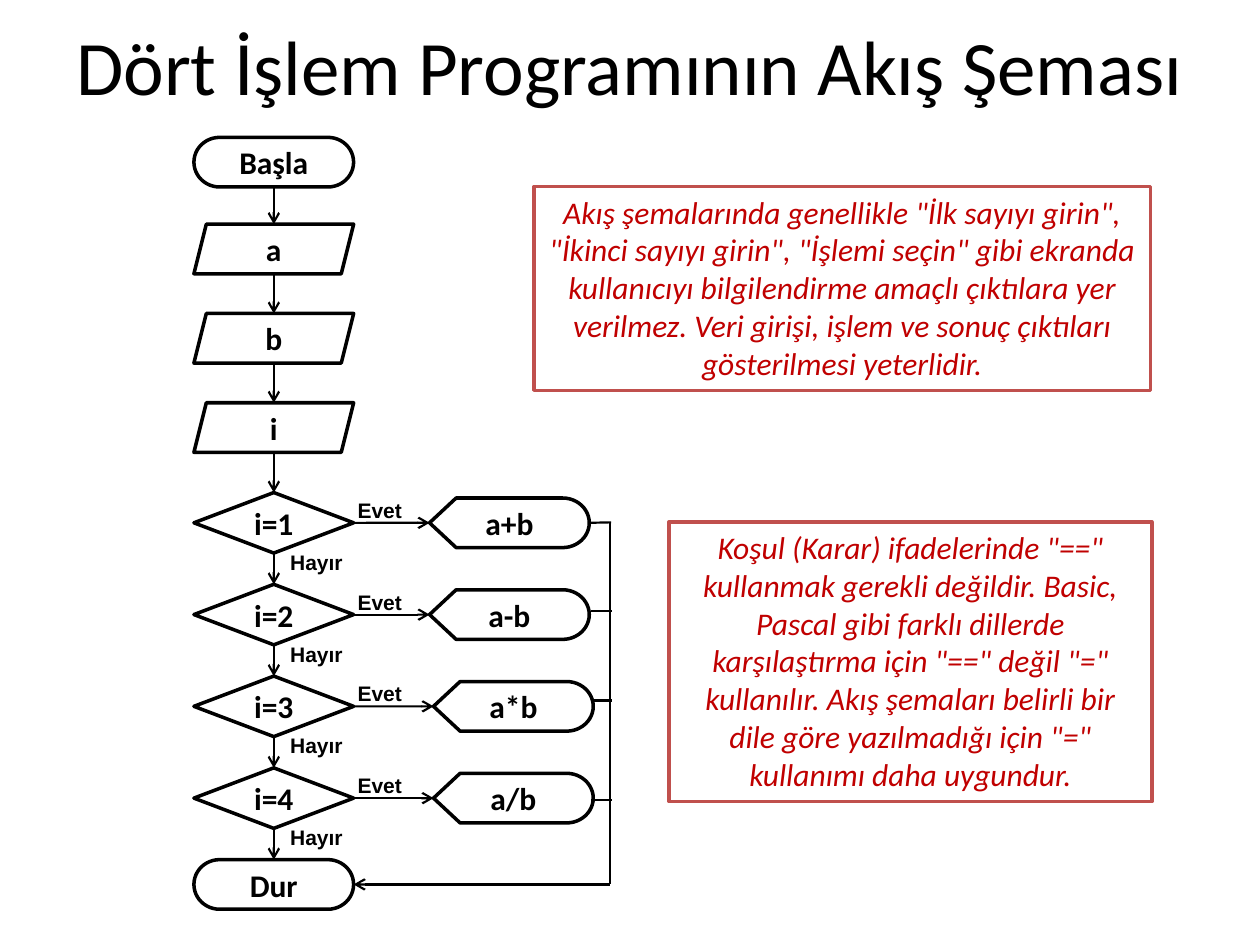
from pptx import Presentation
from pptx.dml.color import RGBColor
from pptx.enum.shapes import MSO_CONNECTOR as Link, MSO_SHAPE as Kind
from pptx.enum.text import MSO_ANCHOR as Anchor, PP_ALIGN as Align
from pptx.oxml.ns import qn
from pptx.util import Cm, Pt
from lxml.etree import SubElement

BLACK = RGBColor(0x00, 0x00, 0x00)
WHITE = RGBColor(0xFF, 0xFF, 0xFF)
RED = RGBColor(0xC0, 0x00, 0x00)
ROSE = RGBColor(0xC0, 0x50, 0x4D)

HEAD = {"name": "Calibri", "size": Pt(44)}
NODE = {"name": "Calibri", "size": Pt(18), "bold": True}
NOTE = {"name": "Calibri", "size": Pt(18), "italic": True}
TAG = {"name": "Arial", "size": Pt(12), "bold": True}

TOP, LEFT, BOTTOM, RIGHT = range(4)

# Column and row measures in cm
COL, WIDE, HIGH = 3.91, 3.22, 1.0
ROW, STEP = 9.93, 1.85
BUS = 12.29

NOTES = [
    ((10.77, 3.76, 12.42, 4.11),
     'Akış şemalarında genellikle "İlk sayıyı girin", "İkinci sayıyı girin", '
     '"İşlemi seçin" gibi ekranda kullanıcıyı bilgilendirme amaçlı çıktılara yer '
     'verilmez. Veri girişi, işlem ve sonuç çıktıları gösterilmesi yeterlidir.'),
    ((13.49, 10.52, 9.73, 5.64),
     'Koşul (Karar) ifadelerinde "==" kullanmak gerekli değildir. Basic, Pascal '
     'gibi farklı dillerde karşılaştırma için "==" değil "=" kullanılır. Akış '
     'şemaları belirli bir dile göre yazılmadığı için "=" kullanımı daha uygundur.'),
]


def write(shape, text, look, color=BLACK, align=Align.CENTER, anchor=Anchor.MIDDLE):
    frame = shape.text_frame
    frame.word_wrap = True
    frame.vertical_anchor = anchor
    para = frame.paragraphs[0]
    para.text = text
    para.alignment = align
    for key, value in look.items():
        setattr(para.font, key, value)
    para.font.color.rgb = color


def add_box(slide, kind, area, text, look=NODE, ink=BLACK, edge=BLACK, anchor=Anchor.MIDDLE):
    box = slide.shapes.add_shape(kind, *map(Cm, area))
    box.shadow.inherit = False
    if kind == Kind.FLOWCHART_TERMINATOR:
        box.fill.background()
    else:
        box.fill.solid()
        box.fill.fore_color.rgb = WHITE
    box.line.color.rgb = edge
    box.line.width = Pt(2)
    write(box, text, look, ink, anchor=anchor)
    return box


def add_tag(slide, area, text):
    tag = slide.shapes.add_textbox(*map(Cm, area))
    write(tag, text, TAG, align=Align.LEFT, anchor=Anchor.TOP)


def spot(end):
    """Turn a (box, side) pair or an (x, y) pair in cm into a point."""
    box, side = end
    if isinstance(box, (int, float)):
        return Cm(box), Cm(side)
    x = box.left + {LEFT: 0, RIGHT: box.width}.get(side, box.width // 2)
    y = box.top + {TOP: 0, BOTTOM: box.height}.get(side, box.height // 2)
    return x, y


def can_join(end):
    # A parallelogram numbers its sites differently, so it is only touched
    box = end[0]
    return not isinstance(box, (int, float)) and box.auto_shape_type != Kind.PARALLELOGRAM


def add_line(slide, start, stop, arrow=True):
    line = slide.shapes.add_connector(Link.STRAIGHT, *spot(start), *spot(stop))
    if can_join(start):
        line.begin_connect(*start)
    if can_join(stop):
        line.end_connect(*stop)
    line.line.color.rgb = BLACK
    line.line.width = Pt(1.25)
    if arrow:
        SubElement(line.line._get_or_add_ln(), qn("a:tailEnd"), type="arrow")
    SubElement(line._element.spPr, qn("a:effectLst"))


def add_title(slide, text):
    title = slide.shapes.title
    title.left, title.top, title.width, title.height = map(Cm, (1.27, 0.13, 22.86, 2.34))
    write(title, text, HEAD)


def add_flow(slide):
    # Main column: start, inputs, decisions, end
    steps = [add_box(slide, Kind.FLOWCHART_TERMINATOR, (COL, 2.77, WIDE, HIGH), "Başla")]
    for i, name in enumerate("abi"):
        area = (COL, 4.52 + 1.8 * i, WIDE, HIGH)
        steps.append(add_box(slide, Kind.PARALLELOGRAM, area, name))
    tests = [add_box(slide, Kind.FLOWCHART_DECISION,
                     (COL, ROW + STEP * i, WIDE, 1.22), f"i={i + 1}") for i in range(4)]
    last = add_box(slide, Kind.FLOWCHART_TERMINATOR, (COL, ROW + STEP * 4, WIDE, HIGH), "Dur")
    steps += tests + [last]
    for a, b in zip(steps, steps[1:]):
        add_line(slide, (a, BOTTOM), (b, TOP))

    # Results beside the decisions, with their branch labels
    shows = []
    for i, (text, left) in enumerate([("a+b", 8.66), ("a-b", 8.66), ("a*b", 8.74), ("a/b", 8.74)]):
        y = ROW + STEP * i
        show = add_box(slide, Kind.FLOWCHART_DISPLAY, (left, y + 0.11, WIDE, HIGH), text)
        add_line(slide, (tests[i], RIGHT), (show, LEFT))
        add_tag(slide, (6.96, y - 0.03, 1.55, 0.76), "Evet")
        add_tag(slide, (5.6, y + 1.02, 1.7, 0.76), "Hayır")
        shows.append(show)

    # Return path from the results to the end
    add_line(slide, (shows[0], RIGHT), (12.32, 10.53), arrow=False)
    for y in (12.32, 14.12, 16.13):
        add_line(slide, (11.91, y), (12.34, y), arrow=False)
    add_line(slide, (BUS, 10.52), (BUS, 17.83), arrow=False)
    add_line(slide, (BUS, 17.83), (last, RIGHT))


def main():
    deck = Presentation()
    deck.slide_width, deck.slide_height = Cm(25.4), Cm(19.05)
    slide = deck.slides.add_slide(deck.slide_layouts[5])
    add_title(slide, "Dört İşlem Programının Akış Şeması")
    add_flow(slide)
    # Side remarks
    for area, text in NOTES:
        add_box(slide, Kind.RECTANGLE, area, text, NOTE, RED, ROSE, Anchor.TOP)
    deck.save("out.pptx")


if __name__ == "__main__":
    main()
